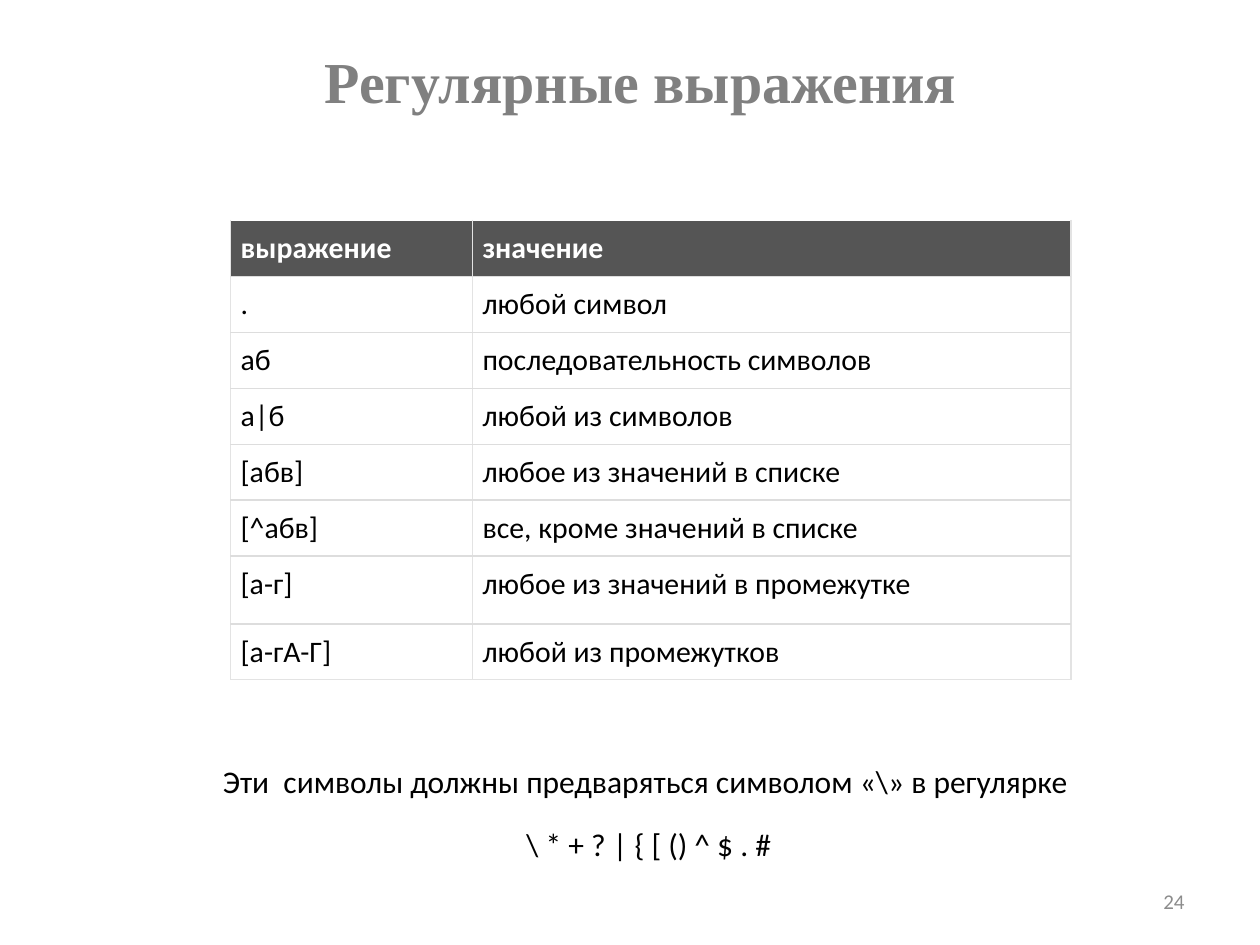
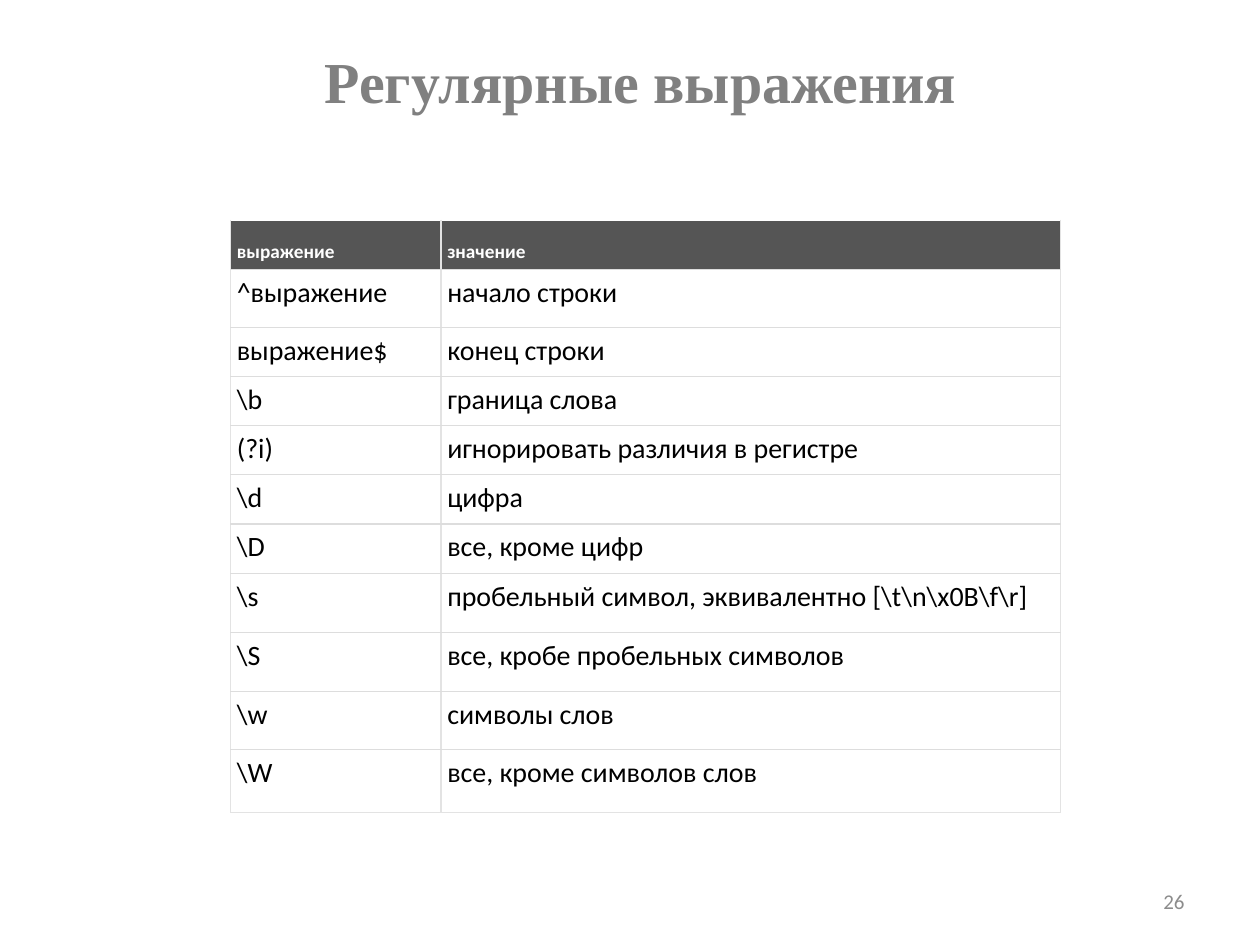
from pptx import Presentation
from pptx.dml.color import RGBColor
from pptx.enum.text import MSO_ANCHOR, PP_ALIGN
from pptx.oxml.ns import qn
from pptx.util import Inches, Pt
from lxml import etree

TOP, MIDDLE, BOTTOM = MSO_ANCHOR.TOP, MSO_ANCHOR.MIDDLE, MSO_ANCHOR.BOTTOM
LEFT, CENTER, RIGHT = PP_ALIGN.LEFT, PP_ALIGN.CENTER, PP_ALIGN.RIGHT

TITLE_GREY = RGBColor(0x80, 0x80, 0x80)
NUMBER_GREY = RGBColor(0x8C, 0x8C, 0x8C)
HEADER_FILL = RGBColor(0x55, 0x55, 0x55)
SIDE_LINE = RGBColor(0xE3, 0xE3, 0xE3)
ROW_LINE = RGBColor(0xDD, 0xDD, 0xDD)
WHITE = RGBColor(0xFF, 0xFF, 0xFF)
BLACK = RGBColor(0, 0, 0)

BODY_FONT = "Calibri"
TITLE_FONT = "Times New Roman"
TITLE = "Регулярные выражения"
HEADER = ("выражение", "значение")
TITLE_BOX = (1, 0.42, 8.17, 0.58)
NUMBER_BOX = (7.17, 6.95, 2.33, 0.4)
TABLE_LEFT, TABLE_TOP = 1.83, 1.75

PATTERNS = [
    (".", "любой символ"),
    ("аб", "последовательность символов"),
    ("а|б", "любой из символов"),
    ("[абв]", "любое из значений в списке"),
    ("[^абв]", "все, кроме значений в списке"),
    ("[а-г]", "любое из значений в промежутке"),
    ("[а-гА-Г]", "любой из промежутков"),
]
CLASSES = [
    ("^выражение", "начало строки"),
    ("выражение$", "конец строки"),
    (r"\b", "граница слова"),
    ("(?i)", "игнорировать различия в регистре"),
    (r"\d", "цифра"),
    (r"\D", "все, кроме цифр"),
    (r"\s", r"пробельный символ, эквивалентно [\t\n\x0B\f\r]"),
    (r"\S", "все, кробе пробельных символов"),
    (r"\w", "символы слов"),
    (r"\W", "все, кроме символов слов"),
]


def write(tf, text, size, color=BLACK, bold=False, font=BODY_FONT, align=LEFT):
    """Put one formatted paragraph into a text frame."""
    p = tf.paragraphs[0]
    p.alignment = align
    r = p.add_run()
    r.text = text
    formats = {"name": font, "size": Pt(size), "bold": bold}
    for name, value in formats.items():
        setattr(r.font, name, value)
    r.font.color.rgb = color
    return p


def add_text(s, box, text, size, anchor=TOP, **formats):
    tf = s.shapes.add_textbox(*map(Inches, box)).text_frame
    tf.word_wrap = True
    tf.vertical_anchor = anchor
    write(tf, text, size, **formats)


def add_title_slide(prs, number):
    """Start a slide with the shared title and page number."""
    s = prs.slides.add_slide(prs.slide_layouts[5])
    title = s.shapes.title
    for name, value in zip(("left", "top", "width", "height"), TITLE_BOX):
        setattr(title, name, Inches(value))
    title.text_frame.vertical_anchor = TOP
    p = write(title.text_frame, TITLE, 33.1, TITLE_GREY, True, TITLE_FONT, CENTER)
    p.line_spacing = 0.8
    p.space_before = Pt(4)
    add_text(s, NUMBER_BOX, str(number), 12, MIDDLE,
             color=NUMBER_GREY, align=RIGHT)
    return s


def set_borders(cell, colors):
    """Draw cell sides; colors maps L, R, T, B (in this order) to a colour."""
    tc_pr = cell._tc.get_or_add_tcPr()
    for side, color in colors.items():
        ln = etree.SubElement(tc_pr, qn(f"a:ln{side}"), w=str(Pt(0.75)))
        fill = etree.SubElement(ln, qn("a:solidFill"))
        etree.SubElement(fill, qn("a:srgbClr"), val=str(color))


def format_cell(cell, text, is_header, is_last, size, margin):
    for side in ("left", "right", "top", "bottom"):
        setattr(cell, f"margin_{side}", Inches(margin))
    borders = {"L": SIDE_LINE, "R": SIDE_LINE}
    if not is_header:
        borders["T"] = ROW_LINE
    borders["B"] = SIDE_LINE if is_last else ROW_LINE
    set_borders(cell, borders)
    if is_header:
        cell.fill.solid()
        cell.fill.fore_color.rgb = HEADER_FILL
    else:
        cell.fill.background()
    cell.vertical_anchor = BOTTOM if is_header else TOP
    write(cell.text_frame, text, size, WHITE if is_header else BLACK, is_header)


def add_syntax_table(s, entries, widths, heights, header_size, size, margin):
    rows = [HEADER, *entries]
    table = s.shapes.add_table(
        len(rows), len(widths), Inches(TABLE_LEFT), Inches(TABLE_TOP),
        Inches(sum(widths)), Inches(sum(heights))).table
    table.horz_banding = False
    for column, width in zip(table.columns, widths):
        column.width = Inches(width)
    for i, (texts, height) in enumerate(zip(rows, heights)):
        table.rows[i].height = Inches(height)
        for j, text in enumerate(texts):
            format_cell(table.cell(i, j), text, i == 0, i == len(rows) - 1,
                        size if i else header_size, margin)


def main():
    prs = Presentation()
    prs.slide_width, prs.slide_height = Inches(10), Inches(7.5)

    # Basic patterns and characters to escape
    s = add_title_slide(prs, 24)
    add_syntax_table(s, PATTERNS, (1.92, 4.75), [0.44] * 6 + [0.54, 0.44],
                     header_size=17, size=17, margin=0.08)
    add_text(s, (4.08, 6.5, 2.5, 0.4), r"\ * + ? | { [ () ^ $ . #", 18)
    add_text(s, (1.67, 6, 6.92, 0.4),
             r"Эти  символы должны предваряться символом «\» в регулярке", 18)

    # Anchors and character classes
    s = add_title_slide(prs, 26)
    add_syntax_table(s, CLASSES, (1.67, 4.92),
                     [0.39, 0.46] + [0.39] * 5 + [0.47, 0.47, 0.46, 0.5],
                     header_size=11, size=16, margin=0.05)

    prs.save("out.pptx")


if __name__ == "__main__":
    main()
